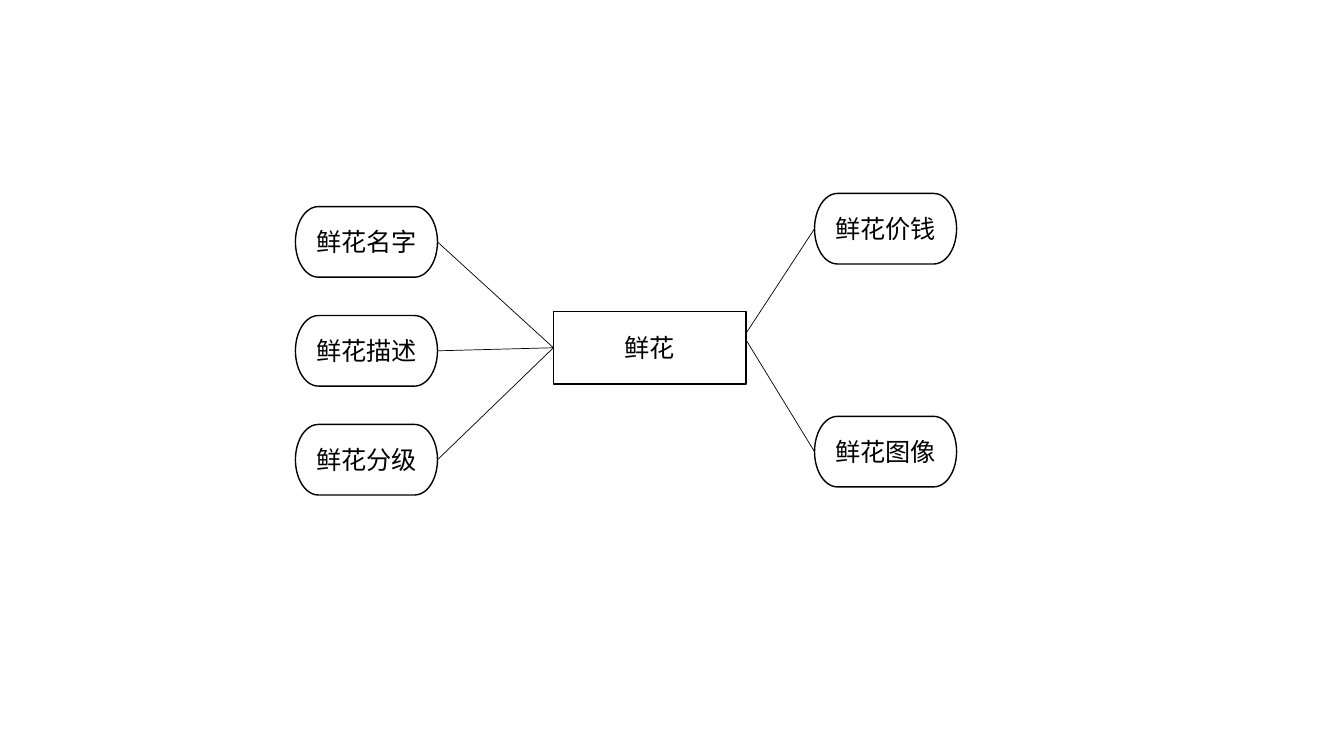
"""Build an entity-attribute diagram of a flower with python-pptx."""
from dataclasses import dataclass

from lxml.etree import SubElement
from pptx import Presentation
from pptx.dml.color import RGBColor
from pptx.enum.shapes import MSO_CONNECTOR, MSO_SHAPE
from pptx.enum.text import MSO_ANCHOR, PP_ALIGN
from pptx.oxml.ns import qn
from pptx.shapes.autoshape import Shape
from pptx.shapes.shapetree import SlideShapes
from pptx.util import Pt


@dataclass(frozen=True)
class Theme:
    ink: RGBColor = RGBColor(0, 0, 0)
    paper: RGBColor = RGBColor(255, 255, 255)
    font: str = "Noto Sans CJK SC"
    text_size: float = 18
    border: float = 1
    link: float = 0.5


@dataclass(frozen=True)
class Node:
    text: str
    left: float
    top: float
    width: float = 101.5
    height: float = 50.4
    kind: MSO_SHAPE = MSO_SHAPE.FLOWCHART_TERMINATOR

    @property
    def right(self) -> float:
        return self.left + self.width

    @property
    def middle(self) -> float:
        return self.top + self.height / 2


@dataclass(frozen=True)
class Link:
    attribute: Node
    entity_y: float


THEME = Theme()
LEFT_X, LEFT_TOP, LEFT_PITCH = 211, 147.6, 77.8
RIGHT_X = 581.8

FLOWER = Node("鲜花", 395.3, 222.5, 137.5, 51.8, MSO_SHAPE.RECTANGLE)
LEFT_LINKS = [
    Link(Node(text, LEFT_X, LEFT_TOP + i * LEFT_PITCH), FLOWER.middle)
    for i, text in enumerate(("鲜花名字", "鲜花描述", "鲜花分级"))
]
RIGHT_LINKS = [
    Link(Node("鲜花价钱", RIGHT_X, 138.2), 238.3),
    Link(Node("鲜花图像", RIGHT_X, 297.4), 242.6),
]


def add_node(shapes: SlideShapes, node: Node) -> Shape:
    """Draw a bordered shape with centred text."""
    box = (node.left, node.top, node.width, node.height)
    sp = shapes.add_shape(node.kind, *map(Pt, box))
    sp.shadow.inherit = False
    sp.fill.solid()
    sp.fill.fore_color.rgb = THEME.paper
    sp.line.color.rgb = THEME.ink
    sp.line.width = Pt(THEME.border)
    tf = sp.text_frame
    tf.vertical_anchor = MSO_ANCHOR.MIDDLE
    p = tf.paragraphs[0]
    p.alignment = PP_ALIGN.CENTER
    r = p.add_run()
    r.text = node.text
    font_format = {"name": THEME.font, "size": Pt(THEME.text_size)}
    for name, value in font_format.items():
        setattr(r.font, name, value)
    r.font.color.rgb = THEME.ink
    SubElement(r.font._element, qn("a:ea"), typeface=THEME.font)
    return sp


def add_link(shapes: SlideShapes, link: Link) -> None:
    """Draw a thin line between an attribute and the near side of the entity."""
    node = link.attribute
    if node.left < FLOWER.left:
        ends = (node.right, node.middle, FLOWER.left, link.entity_y)
    else:
        ends = (FLOWER.right, link.entity_y, node.left, node.middle)
    line = shapes.add_connector(MSO_CONNECTOR.STRAIGHT, *map(Pt, ends))
    line.line.color.rgb = THEME.ink
    line.line.width = Pt(THEME.link)
    SubElement(line._element.spPr, qn("a:effectLst"))


def main() -> None:
    """Build the slide and save it."""
    prs = Presentation()
    prs.slide_width, prs.slide_height = Pt(960), Pt(540)
    shapes = prs.slides.add_slide(prs.slide_layouts[6]).shapes
    links = LEFT_LINKS + RIGHT_LINKS
    for node in (FLOWER, *(link.attribute for link in links)):
        add_node(shapes, node)
    for link in links:
        add_link(shapes, link)
    prs.save("out.pptx")


main()
